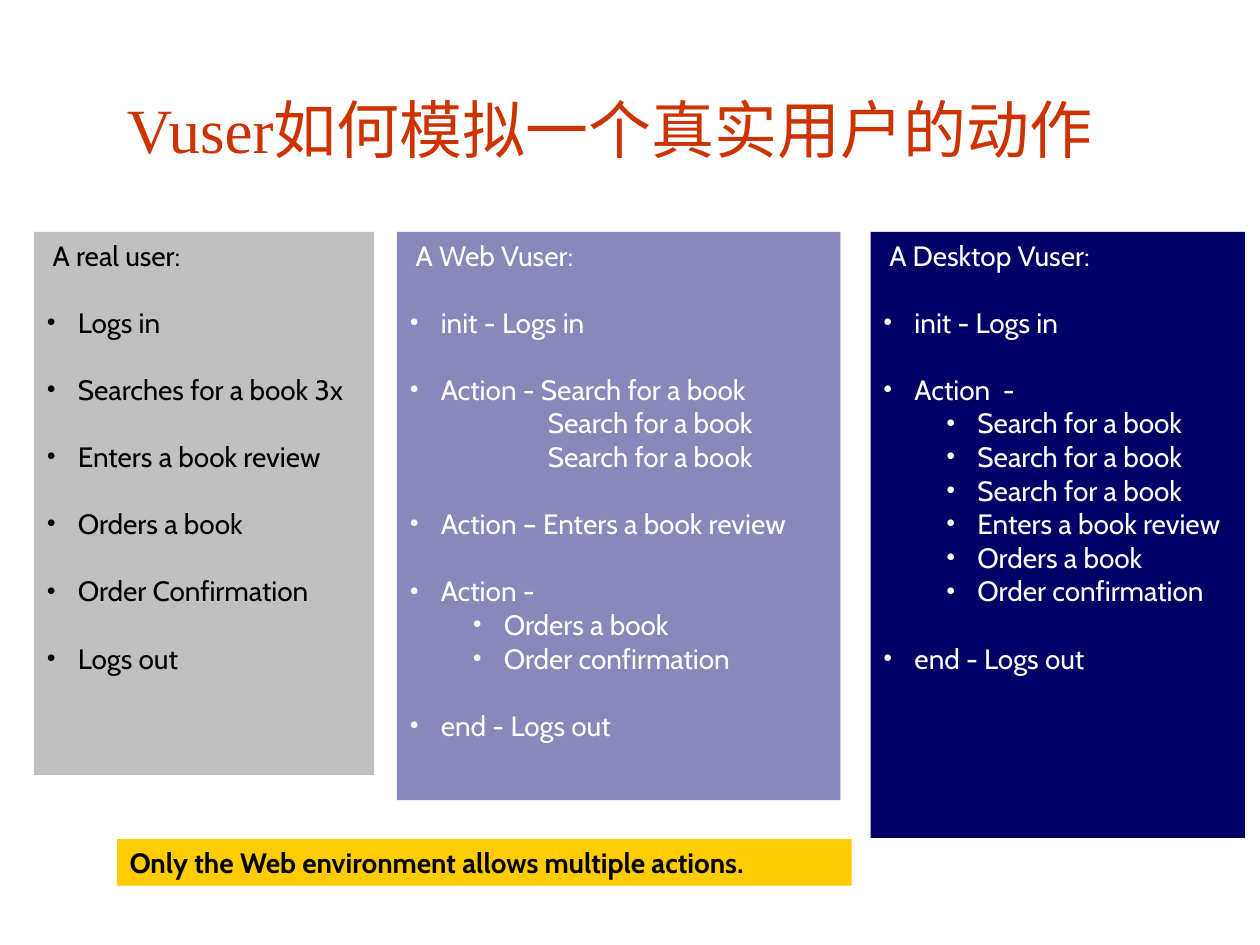
from pptx import Presentation
from pptx.dml.color import RGBColor
from pptx.enum.shapes import MSO_SHAPE
from pptx.enum.text import MSO_ANCHOR, PP_ALIGN
from pptx.oxml.xmlchemy import OxmlElement
from pptx.util import Inches, Pt

RECTANGLE = MSO_SHAPE.RECTANGLE
TOP, MIDDLE = MSO_ANCHOR.TOP, MSO_ANCHOR.MIDDLE
LEFT, CENTER = PP_ALIGN.LEFT, PP_ALIGN.CENTER

# Content: each line is (style, text); "item" lines open a new group
TITLE = "Vuser如何模拟一个真实用户的动作"
NOTE = "Only the Web environment allows multiple actions."
COLUMNS = [
    {"left": 0.27, "width": 2.7, "height": 4.31, "fill": "gray", "ink": "black",
     "lines": [("head", "A real user:"),
               ("item", "Logs in"),
               ("item", "Searches for a book 3x"),
               ("item", "Enters a book review"),
               ("item", "Orders a book"),
               ("item", "Order Confirmation"),
               ("item", "Logs out")]},
    {"left": 3.15, "width": 3.52, "height": 4.51, "fill": "lilac", "ink": "white",
     "lines": [("head", "A Web Vuser:"),
               ("item", "init - Logs in"),
               ("item", "Action - Search for a book"),
               ("more", "Search for a book"),
               ("more", "Search for a book"),
               ("item", "Action – Enters a book review"),
               ("item", "Action -"),
               ("sub", "Orders a book"),
               ("sub", "Order confirmation"),
               ("item", "end - Logs out")]},
    {"left": 6.91, "width": 2.97, "height": 4.81, "fill": "navy", "ink": "white",
     "lines": [("head", "A Desktop Vuser:"),
               ("item", "init - Logs in"),
               ("item", "Action  -"),
               ("sub", "Search for a book"),
               ("sub", "Search for a book"),
               ("sub", "Search for a book"),
               ("sub", "Enters a book review"),
               ("sub", "Orders a book"),
               ("sub", "Order confirmation"),
               ("item", "end - Logs out")]},
]

THEME = {
    "title_font": "Times New Roman", "body_font": "Cabin",
    "bullet_font": "Times New Roman",
    "title_size": 36, "body_size": 16, "group_gap": 19.2,
    "red": "CC3300", "gray": "C0C0C0", "lilac": "8888BA", "navy": "000066",
    "yellow": "FFCC00", "black": "000000", "white": "FFFFFF",
}

# Line styles: outline level, left margin (inches), bulleted
STYLES = {
    "head": (0, 0.05, False),
    "item": (0, 0.25, True),
    "sub": (1, 0.75, True),
    "more": (2, 1.1, False),
}
BULLET_HANG = 0.25
COLUMN_TOP = 1.84


def color(name):
    return RGBColor.from_string(THEME[name])


def set_up_text(box, anchor):
    frame = box.text_frame
    frame.word_wrap = True
    frame.vertical_anchor = anchor
    return frame


def add_panel(page, left, top, width, height, fill):
    panel = page.shapes.add_shape(
        RECTANGLE, Inches(left), Inches(top), Inches(width), Inches(height))
    panel.shadow.inherit = False
    panel.fill.solid()
    panel.fill.fore_color.rgb = color(fill)
    panel.line.fill.background()
    return set_up_text(panel, TOP)


def add_span(para, text, ink, kind="body", bold=False):
    span = para.add_run()
    span.text = text
    span.font.name = THEME[kind + "_font"]
    span.font.size = Pt(THEME[kind + "_size"])
    span.font.color.rgb = color(ink)
    span.font.bold = bold


def format_line(para, style, ink):
    level, margin, bulleted = STYLES[style]
    para.alignment = LEFT
    para.level = level
    para.space_before = Pt(THEME["group_gap"] if style == "item" else 0)
    properties = para._p.get_or_add_pPr()
    properties.set("marL", str(Inches(margin)))
    properties.set("indent", str(-Inches(BULLET_HANG) if bulleted else 0))
    if bulleted:
        tint = OxmlElement("a:buClr")
        value = OxmlElement("a:srgbClr")
        value.set("val", THEME[ink])
        tint.append(value)
        face = OxmlElement("a:buFont")
        face.set("typeface", THEME["bullet_font"])
        bullet = OxmlElement("a:buChar")
        bullet.set("char", "•")
        properties.extend([tint, face, bullet])


def main():
    deck = Presentation()
    deck.slide_width, deck.slide_height = Inches(10), Inches(7.5)
    page = deck.slides.add_slide(deck.slide_layouts[6])

    # Title
    box = page.shapes.add_textbox(Inches(0.59), Inches(0.6), Inches(8.5), Inches(0.83))
    para = set_up_text(box, MIDDLE).paragraphs[0]
    para.alignment = CENTER
    add_span(para, TITLE, "red", "title")

    # Three user columns
    for column in COLUMNS:
        frame = add_panel(page, column["left"], COLUMN_TOP, column["width"],
                          column["height"], column["fill"])
        for index, (style, text) in enumerate(column["lines"]):
            para = frame.add_paragraph() if index else frame.paragraphs[0]
            format_line(para, style, column["ink"])
            add_span(para, text, column["ink"])

    # Note below the columns
    para = add_panel(page, 0.93, 6.66, 5.83, 0.37, "yellow").paragraphs[0]
    para.alignment = LEFT
    add_span(para, NOTE, "black", bold=True)

    deck.save("out.pptx")


if __name__ == "__main__":
    main()
